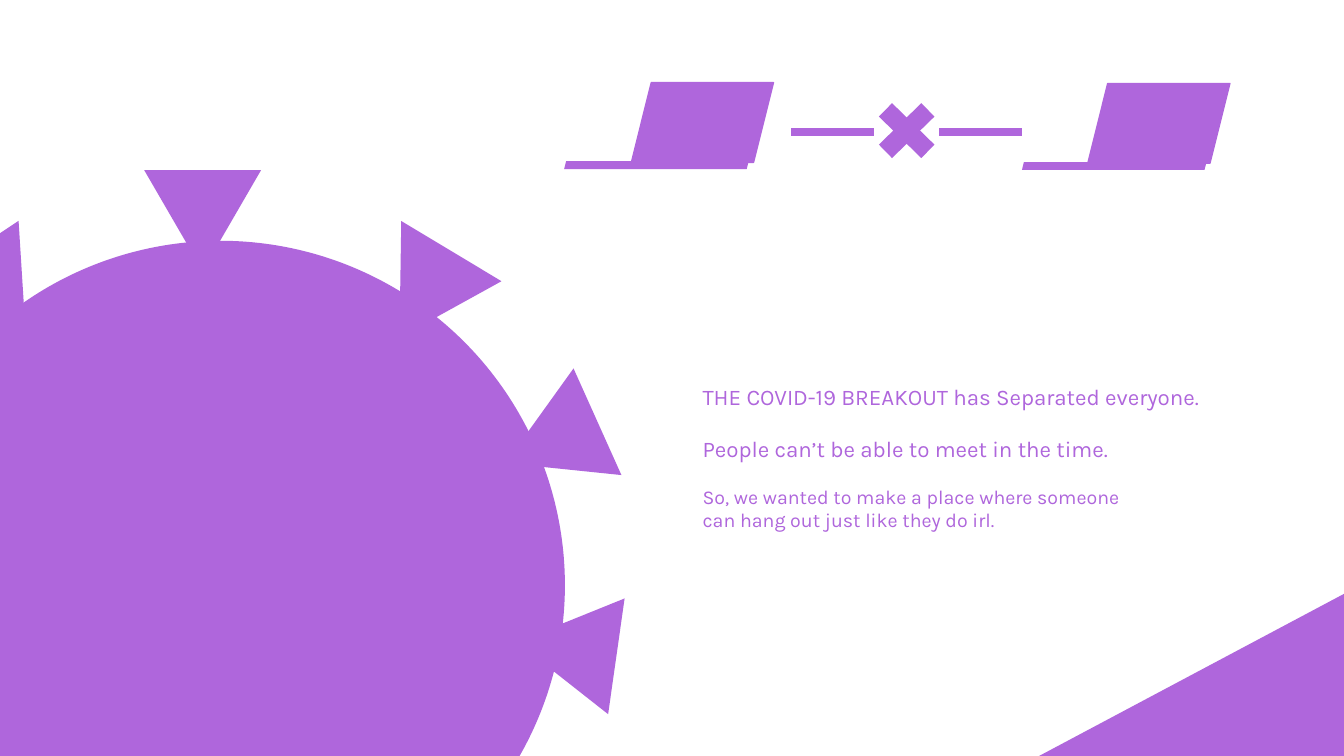
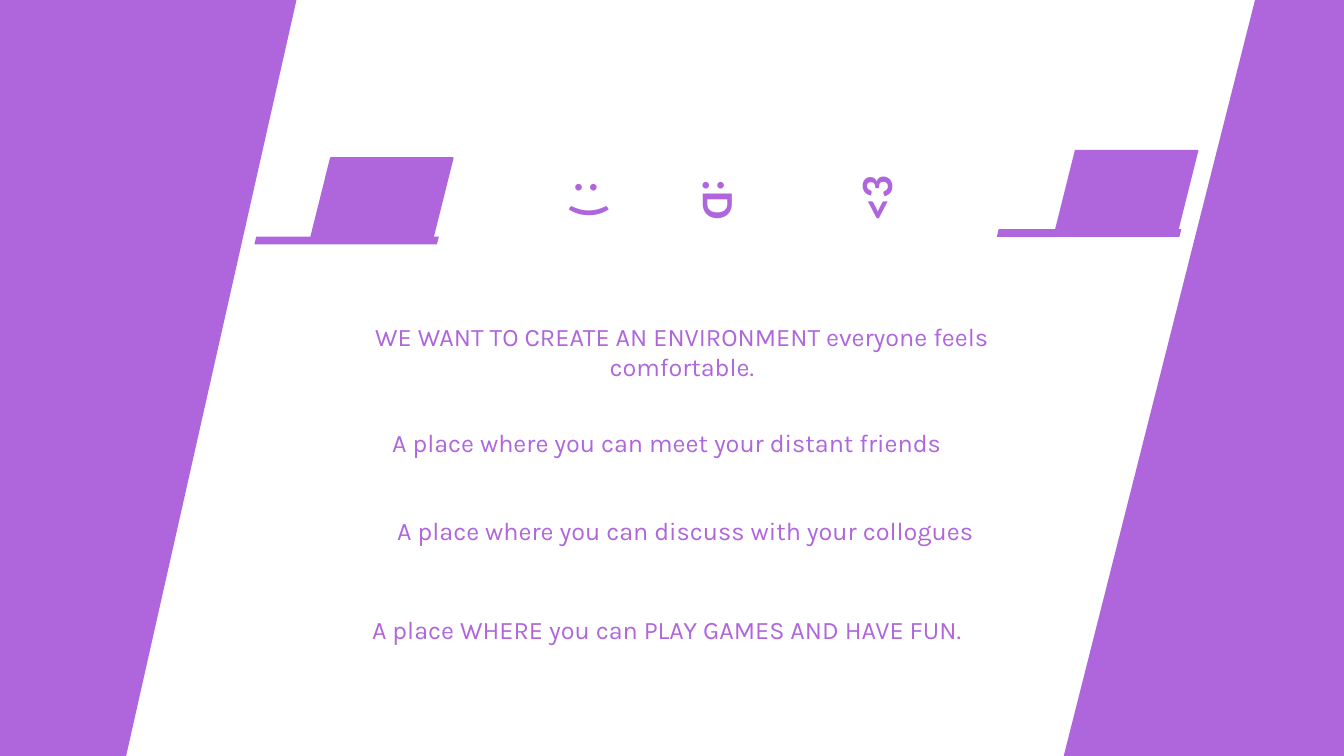
from lxml.etree import SubElement
from pptx import Presentation
from pptx.dml.color import RGBColor
from pptx.enum.shapes import MSO_CONNECTOR, MSO_SHAPE
from pptx.enum.text import MSO_ANCHOR, MSO_AUTO_SIZE, PP_ALIGN
from pptx.oxml.ns import qn
from pptx.util import Pt

PURPLE = RGBColor(0xAF, 0x66, 0xDC)
WHITE = RGBColor(0xFF, 0xFF, 0xFF)
BODY_FONT = "Karla"
EMOTICON_FONT = "Calibri"
SLIDE_WIDTH, SLIDE_HEIGHT = 960, 540


def new_slide(deck):
    slide = deck.slides.add_slide(deck.slide_layouts[6])
    slide.background.fill.solid()
    slide.background.fill.fore_color.rgb = WHITE
    return slide


def add_solid(slide, preset, box, rotation=0, outline=0):
    solid = slide.shapes.add_shape(preset, *map(Pt, box))
    solid.shadow.inherit = False
    solid.rotation = rotation
    solid.fill.solid()
    solid.fill.fore_color.rgb = PURPLE
    if outline:
        solid.line.color.rgb = PURPLE
        solid.line.width = Pt(outline)
    else:
        solid.line.fill.background()


def add_text(slide, text, box, size=18, font=BODY_FONT, bold=False,
             align=PP_ALIGN.LEFT, wrap=True, rotation=0):
    label = slide.shapes.add_textbox(*map(Pt, box))
    label.rotation = rotation
    frame = label.text_frame
    frame.word_wrap = wrap
    frame.auto_size = MSO_AUTO_SIZE.SHAPE_TO_FIT_TEXT
    frame.vertical_anchor = MSO_ANCHOR.TOP
    frame.text = text
    for paragraph in frame.paragraphs:
        paragraph.alignment = align
        paragraph.font.size = Pt(size)
        paragraph.font.name = font
        paragraph.font.bold = bold
        paragraph.font.color.rgb = PURPLE


def add_link(slide, left, middle, length):
    link = slide.shapes.add_connector(
        MSO_CONNECTOR.STRAIGHT, Pt(left), Pt(middle), Pt(left + length), Pt(middle))
    link.line.color.rgb = PURPLE
    link.line.width = Pt(6)
    SubElement(link._element.spPr, qn("a:effectLst"))


def add_laptop(slide, left, top, overhang):
    screen_width, screen_height = 101.5, 57
    add_solid(slide, MSO_SHAPE.PARALLELOGRAM,
              (left, top, screen_width, screen_height), outline=1)
    add_solid(slide, MSO_SHAPE.PARALLELOGRAM,
              (left - overhang, top + screen_height - 0.8, 131.8, 5.6))


def add_virus(slide, left, top, diameter):
    add_solid(slide, MSO_SHAPE.OVAL, (left, top, diameter, diameter))
    spikes = [(26.7, -6.3, 266.4), (191.5, -50.5, 180), (350.6, 2.2, 211),
              (440.7, 108, 245.8), (451.4, 255.7, 278.1)]
    for across, down, rotation in spikes:
        add_solid(slide, MSO_SHAPE.ISOSCELES_TRIANGLE,
                  (left + across, top + down, 83.5, 72), rotation)


def add_broken_link(slide, left, top):
    add_laptop(slide, left, top, 48)
    add_laptop(slide, left + 326, top + 0.6, 47)
    for across in (114.2, 220):
        add_link(slide, left + across, top + 35.3, 59)
    add_solid(slide, MSO_SHAPE.MATH_MULTIPLY, (left + 167.5, top + 5.8, 58.3, 57))


def add_problem_text(slide, left, top, width):
    statements = [
        (0, "THE COVID-19 BREAKOUT has Separated everyone.", 16),
        (37.5, "People can’t be able to meet in the time.", 16),
        (72.7, "So, we wanted to make a place where someone\n"
               "can hang out just like they do irl.", 14)]
    for down, text, size in statements:
        add_text(slide, text, (left, top + down, width, 46), size=size)


def add_emoticons(slide, left, top):
    faces = [(0, 0, 41, ": )", 90), (89.3, 0, 44, ":D", 90), (198, -2, 47, "<3", 270)]
    for across, down, width, text, rotation in faces:
        add_text(slide, text, (left + across, top + down, width, 46), size=32,
                 font=EMOTICON_FONT, bold=True, wrap=False, rotation=rotation)


def add_goals(slide, left, top, width):
    goals = [
        (10.8, 0, "WE WANT TO CREATE AN ENVIRONMENT everyone feels comfortable."),
        (0, 75.6, "A place where you can meet your distant friends"),
        (13.3, 138.3, "A place where you can discuss with your collogues"),
        (0, 209.5, "A place WHERE you can PLAY GAMES AND HAVE FUN.")]
    for across, down, text in goals:
        add_text(slide, text, (left + across, top + down, width, 29),
                 align=PP_ALIGN.CENTER)


def build_problem(deck):
    slide = new_slide(deck)
    add_virus(slide, -88.5, 172, 492)
    add_solid(slide, MSO_SHAPE.RECTANGLE, (743.8, 296, 389, 720), 62)
    add_broken_link(slide, 451, 59)
    add_problem_text(slide, 494.8, 270, 426)


def build_vision(deck):
    slide = new_slide(deck)
    for left, top, rotation in [(-67, -98.6, 12.7), (833.8, -87.8, 14.2)]:
        add_solid(slide, MSO_SHAPE.RECTANGLE, (left, top, 219.6, 698.4), rotation)
    add_laptop(slide, 222, 112.8, 40.3)
    add_laptop(slide, 754, 107.5, 42)
    add_emoticons(slide, 403.2, 120.2)
    add_goals(slide, 238.3, 226, 476)


deck = Presentation()
deck.slide_width = Pt(SLIDE_WIDTH)
deck.slide_height = Pt(SLIDE_HEIGHT)
build_problem(deck)
build_vision(deck)
deck.save("out.pptx")
